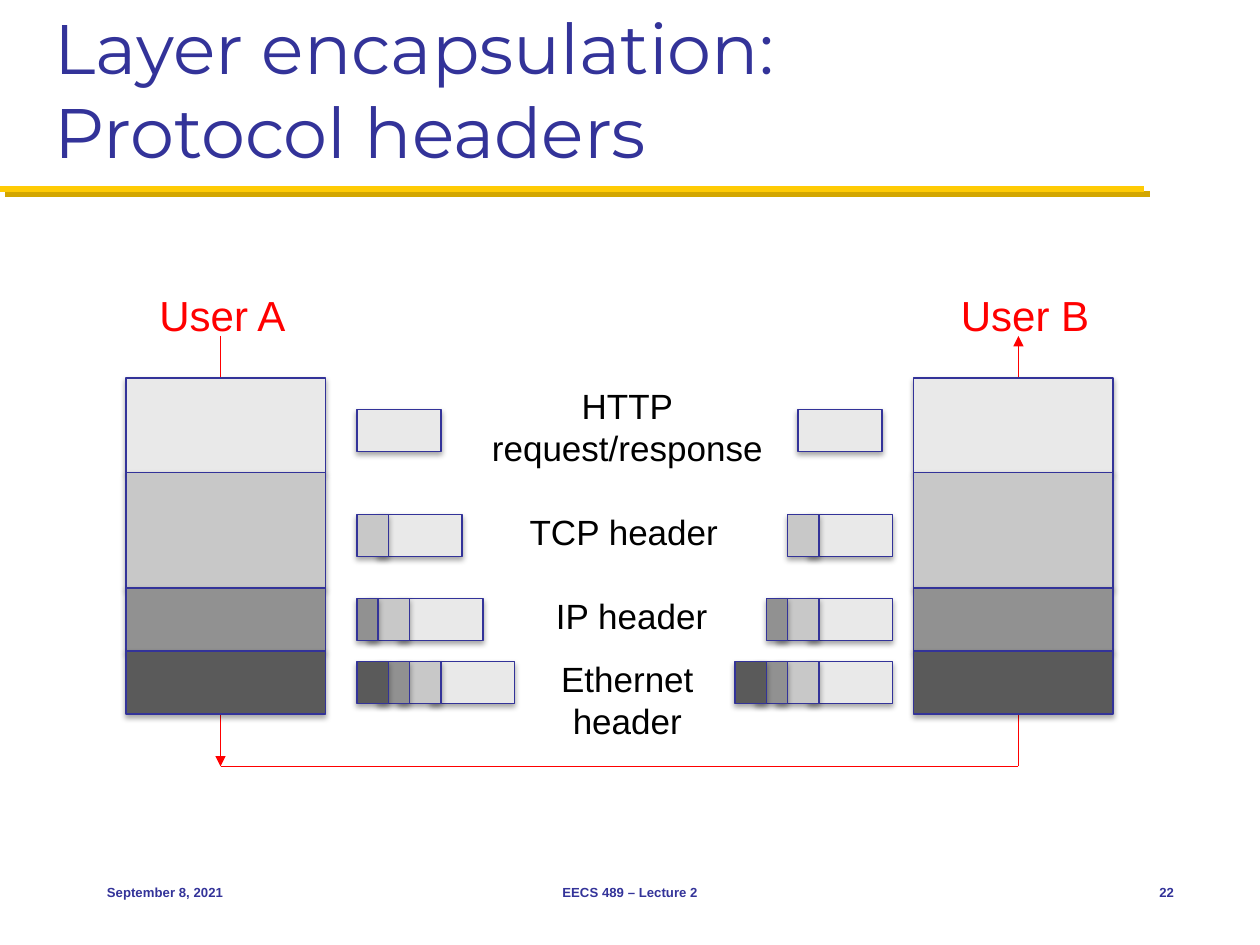
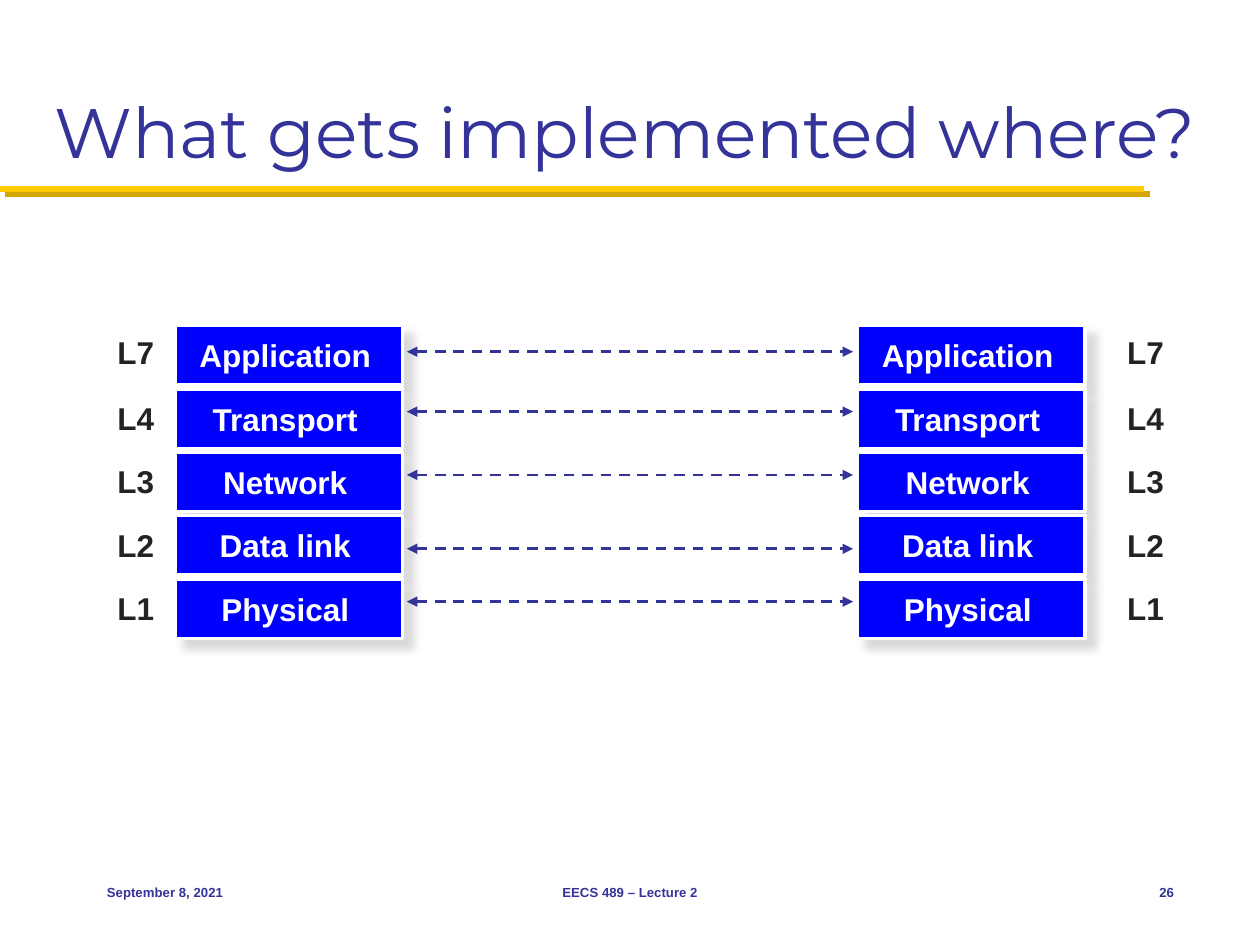
from dataclasses import dataclass
from lxml import etree
from pptx import Presentation
from pptx.dml.color import RGBColor
from pptx.enum.dml import MSO_LINE
from pptx.enum.shapes import MSO_CONNECTOR, MSO_SHAPE
from pptx.enum.text import MSO_ANCHOR, MSO_AUTO_SIZE, PP_ALIGN
from pptx.oxml.ns import qn
from pptx.util import Pt

RECT = MSO_SHAPE.RECTANGLE
STRAIGHT = MSO_CONNECTOR.STRAIGHT
DASH = MSO_LINE.DASH
LEFT, MID, RIGHT = PP_ALIGN.LEFT, PP_ALIGN.CENTER, PP_ALIGN.RIGHT
TOP, CENTER, BOTTOM = MSO_ANCHOR.TOP, MSO_ANCHOR.MIDDLE, MSO_ANCHOR.BOTTOM
FIXED = MSO_AUTO_SIZE.NONE


@dataclass(frozen=True)
class Theme:
    navy: str = "333399"
    gold: str = "FFCB05"
    umber: str = "D3A600"
    red: str = "FF0000"
    blue: str = "0000FF"
    white: str = "FFFFFF"
    black: str = "000000"
    ink: str = "232323"
    haze: str = "CECECE"
    grays: tuple = ("E9E9E9", "C8C8C8", "919191", "5A5A5A")
    head: str = "Montserrat"
    body: str = "Arial"
    title: float = 40
    user: float = 24
    label: float = 20
    layer: float = 18
    foot: float = 7.5


T = Theme()


def color(code):
    return RGBColor.from_string(code)


def cast(item, code=None, alpha=100, blur=0, dist=0):
    effects = etree.SubElement(item.element.spPr, qn("a:effectLst"))
    if code:
        shade = etree.SubElement(effects, qn("a:outerShdw"), blurRad=str(Pt(blur)),
                                 dist=str(Pt(dist)), dir="2700000", algn="ctr", rotWithShape="0")
        tint = etree.SubElement(shade, qn("a:srgbClr"), val=code)
        etree.SubElement(tint, qn("a:alpha"), val=str(alpha * 1000))


def write(item, lines, size, code, font=T.body, bold=False, align=LEFT,
          anchor=TOP, wrap=False, pad=(7.2, 3.6, 7.2, 3.6), breaks=False):
    frame = item.text_frame
    frame.auto_size = FIXED
    frame.word_wrap = wrap
    frame.vertical_anchor = anchor
    frame.margin_left, frame.margin_top, frame.margin_right, frame.margin_bottom = map(Pt, pad)
    for i, line in enumerate(lines):
        if i and breaks:
            para.add_line_break()
        else:
            para = frame.add_paragraph() if i else frame.paragraphs[0]
            para.alignment = align
        run = para.add_run()
        run.text = line
        run.font.name, run.font.size, run.font.bold = font, Pt(size), bold
        run.font.color.rgb = color(code)


def note(slide, box, lines, size, code, **style):
    write(slide.shapes.add_textbox(*map(Pt, box)), lines, size, code, **style)


def block(slide, box, fill, edge=None, width=0.75):
    item = slide.shapes.add_shape(RECT, *map(Pt, box))
    item.fill.solid()
    item.fill.fore_color.rgb = color(fill)
    if edge:
        item.line.color.rgb = color(edge)
        item.line.width = Pt(width)
    else:
        item.line.fill.background()
    return item


def wire(slide, start, end, code, width, ends=(), dash=None, shade=()):
    item = slide.shapes.add_connector(STRAIGHT, *map(Pt, (*start, *end)))
    item.line.color.rgb = color(code)
    item.line.width = Pt(width)
    if dash:
        item.line.dash_style = dash
    for end_tag in ends:
        etree.SubElement(item.line._get_or_add_ln(), qn(end_tag), type="triangle")
    cast(item, *shade)
    return item


def banner(slide, lines, box):
    title = slide.shapes.title
    title.left, title.top, title.width, title.height = map(Pt, box)
    write(title, lines, T.title, T.navy, font=T.head, anchor=BOTTOM, wrap=True, breaks=True)


def footer(slide, number, box):
    x, y, w, h = box
    parts = (("September 8, 2021", 0, 150, LEFT),
             ("EECS 489 – Lecture 2", 192, 228, MID),
             (number, w - 48, 48, RIGHT))
    for text, dx, wide, align in parts:
        note(slide, (x + dx, y, wide, h), [text], T.foot, T.navy,
             bold=True, align=align, anchor=CENTER, wrap=True)


def page(deck, layout, lines, number):
    slide = deck.slides.add_slide(layout)
    banner(slide, lines, (24, 12, 672, 90))
    footer(slide, number, (54, 492, 624, 36))
    return slide


def route(slide, box):
    x, y, w, h = box
    a, b, low = x, x + w, y + h
    wire(slide, (a, y), (a, low), T.red, 0.75, ["a:tailEnd"])
    wire(slide, (b, low), (b, y), T.red, 0.75, ["a:tailEnd"])
    wire(slide, (a, low), (b, low), T.red, 0.75)


def stack(slide, x, y, w):
    for tall, gray in zip((54, 66, 36, 36), T.grays):
        block(slide, (x, y, w, tall), gray, T.navy)
        y += tall


def packet(slide, box, parts):
    x, y, w, h = box
    edge = x + w
    for wide, gray in parts:
        left = edge - wide
        start = max(x, left - 6)
        block(slide, (start, y, edge - start, h), gray, T.navy)
        edge = left


def packets(slide, box):
    x, y, w, h = box
    parts = list(zip((42, 18, 12, 18), T.grays))
    for i, dy in enumerate((0, 60, 108, 144)):
        row = parts[:i + 1] if i else [(48, T.grays[0])]
        wide = sum(part[0] for part in row)
        right = x + w - (0 if i else 6)
        for left in (x, right - wide):
            packet(slide, (left, y + dy, wide, 24), row)


def labels(slide, y):
    rows = ((["HTTP", "request/response"], 358.5, 0, 171, 55),
            (["TCP header"], 356.5, 72, 127, 32),
            (["IP header"], 361, 120, 127, 32),
            (["Ethernet", "header"], 358.5, 156, 91, 55))
    for lines, mid, dy, w, h in rows:
        note(slide, (mid - w / 2, y + dy, w, h), lines, T.label, T.black, align=MID)


def headers(slide):
    route(slide, (126, 192, 456, 246))
    for x in (72, 522):
        stack(slide, x, 216, 114)
    packets(slide, (204, 234, 306, 24))
    labels(slide, 216)
    for text, x in (("User A", 84), ("User B", 542)):
        note(slide, (x, 162, 88, 36.5), [text], T.user, T.red)


def layers(slide, box):
    x, y, w, h = box
    rows = (("L7", "Application", 0.5, 15), ("L4", "Transport", 2.3, 13),
            ("L3", "Network", 2.3, 13), ("L2", "Data link", 2.3, 19),
            ("L1", "Physical", 2.3, 13))
    step, wide = 36.2, 130
    far = x + w - wide
    for i, (code, name, drop, aim) in enumerate(rows):
        top = y + i * step
        for left, tag in ((x, x - 40), (far, far + wide + 17)):
            item = block(slide, (left, top, wide, h), T.blue, T.white, 2)
            cast(item, T.haze, 75, 5, 8)
            write(item, [name], T.layer, T.white, bold=True, align=MID,
                  anchor=CENTER, pad=(3, 3, 7, 3))
            item = block(slide, (tag, top + drop, 36, 29), T.white)
            cast(item)
            write(item, [code], T.layer, T.ink, bold=True)
    for i, (code, name, drop, aim) in enumerate(rows):
        level = y + i * step + aim
        wire(slide, (x + wide + 2.5, level), (far - 2.5, level), T.navy, 1.5,
             ["a:headEnd", "a:tailEnd"], DASH)


def main():
    deck = Presentation()
    deck.slide_width, deck.slide_height = Pt(720), Pt(540)
    layout = deck.slide_layouts[5]
    first = page(deck, layout, ["Layer encapsulation:", "Protocol headers"], "22")
    rule = wire(first, (0, 108), (654, 108), T.gold, 3.5, shade=(T.umber, 100, 0, 4.2))
    layout.shapes.element.append(rule.element)
    headers(first)
    second = page(deck, layout, ["What gets implemented where?"], "26")
    layers(second, (100, 186, 520, 34))
    deck.save("out.pptx")


main()
